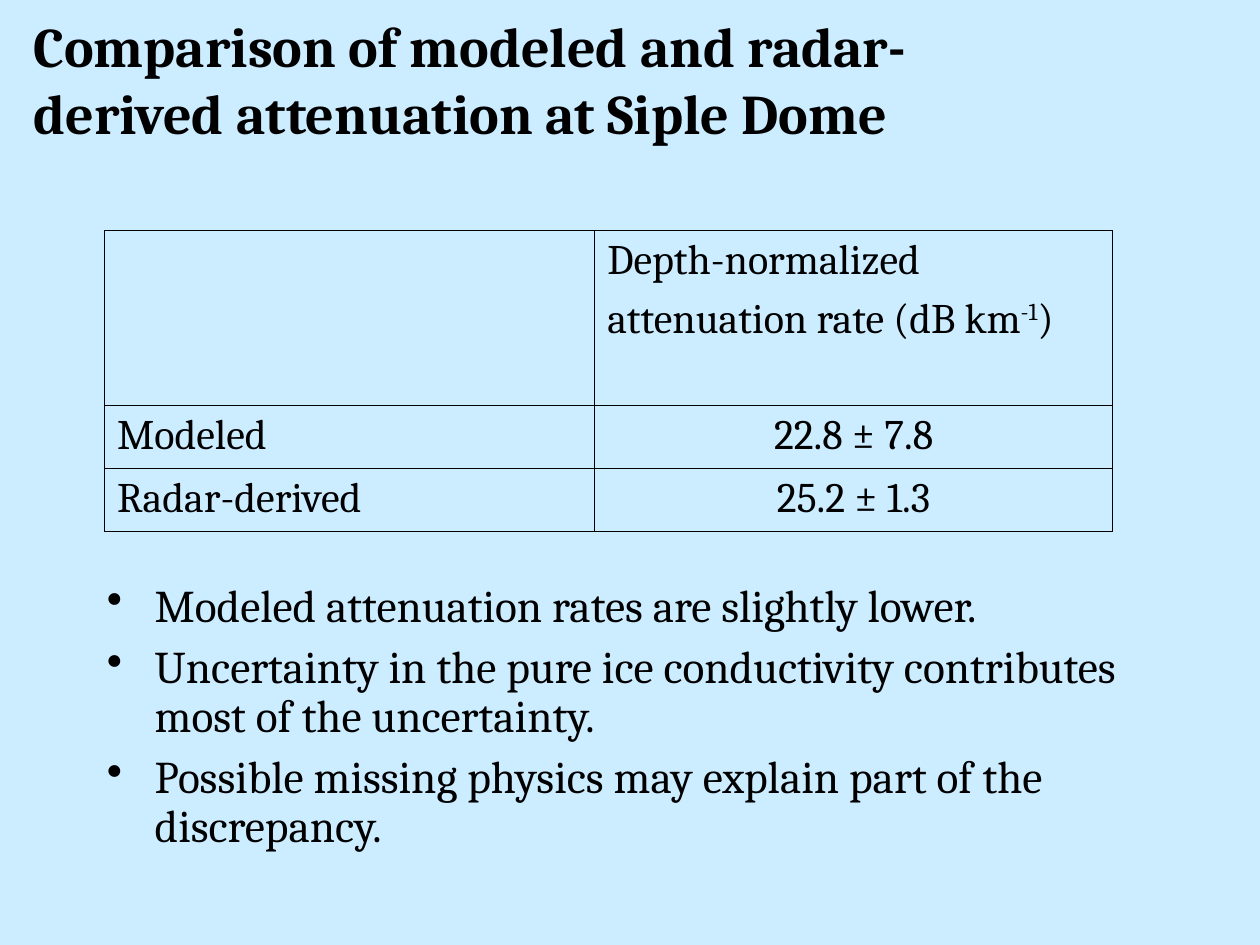
from lxml import etree
from pptx import Presentation
from pptx.dml.color import RGBColor
from pptx.enum import text as t
from pptx.oxml.ns import qn
from pptx.util import Inches, Pt

FONT, INK, SKY = "Cambria", "000000", "CCECFF"
TITLE = "Comparison of modeled and radar-derived attenuation at Siple Dome"
# Each cell is a list of paragraphs; each paragraph is a list of (text, raised)
HEAD = [[("Depth-normalized", False)],
        [("attenuation rate (dB km", False), ("-1", True), (")", False)]]
ROWS = [
    [[], HEAD],
    [[[("Modeled", False)]], [[("22.8 ± 7.8", False)]]],
    [[[("Radar-derived", False)]], [[("25.2 ± 1.3", False)]]],
]
WIDTHS = [3.89, 4.11]
HEIGHTS = [1.39, 0.5, 0.5]
POINTS = [
    "Modeled attenuation rates are slightly lower.",
    "Uncertainty in the pure ice conductivity contributes most of the uncertainty.",
    "Possible missing physics may explain part of the discrepancy.",
]


def color(code):
    return RGBColor.from_string(code)


def style(para, size, bold=False):
    font = para.font
    font.name, font.size, font.bold = FONT, Pt(size), bold
    font.color.rgb = color(INK)


def add_box(slide, left, top, width, height):
    frame = slide.shapes.add_textbox(*map(Inches, (left, top, width, height))).text_frame
    frame.word_wrap = True
    return frame


def next_para(frame, index, gap):
    """Return the paragraph at index, with space before all but the first."""
    if index == 0:
        return frame.paragraphs[0]
    para = frame.add_paragraph()
    para.space_before = Pt(gap)
    return para


def add_bullet(para):
    props = para._p.get_or_add_pPr()
    props.set("marL", str(Inches(0.38)))
    props.set("indent", str(-Inches(0.38)))
    etree.SubElement(props, qn("a:buChar")).set("char", "•")


def add_border(cell):
    props = cell._tc.get_or_add_tcPr()
    for side in ("lnL", "lnR", "lnT", "lnB"):
        line = etree.SubElement(props, qn("a:" + side), w=str(Pt(0.45)))
        fill = etree.SubElement(line, qn("a:solidFill"))
        etree.SubElement(fill, qn("a:srgbClr"), val=INK)


def fill_cell(cell, paras, centred):
    add_border(cell)
    cell.fill.background()
    style(cell.text_frame.paragraphs[0], 24)
    for i, runs in enumerate(paras):
        para = next_para(cell.text_frame, i, 6)
        style(para, 24)
        if centred:
            para.alignment = t.PP_ALIGN.CENTER
        for words, raised in runs:
            run = para.add_run()
            run.text = words
            if raised:
                run.font._element.set("baseline", "30000")


def main():
    prs = Presentation()
    prs.slide_width, prs.slide_height = Inches(10), Inches(7.5)
    slide = prs.slides.add_slide(prs.slide_layouts[6])
    back = slide.background.fill
    back.solid()
    back.fore_color.rgb = color(SKY)

    body = add_box(slide, 0.75, 4.58, 8.5, 2.92)
    for i, point in enumerate(POINTS):
        para = next_para(body, i, 7)
        para.text = point
        para.line_spacing = 0.9
        add_bullet(para)
        style(para, 25.9)

    table = slide.shapes.add_table(
        len(ROWS), len(WIDTHS), Inches(0.83), Inches(1.83),
        Inches(sum(WIDTHS)), Inches(sum(HEIGHTS))).table
    table.first_row = table.horz_banding = False
    for col, width in zip(table.columns, WIDTHS):
        col.width = Inches(width)
    for r, (cells, height) in enumerate(zip(ROWS, HEIGHTS)):
        table.rows[r].height = Inches(height)
        for c, paras in enumerate(cells):
            fill_cell(table.cell(r, c), paras, centred=r > 0 and c > 0)

    title = add_box(slide, 0.17, 0, 8.5, 1.25)
    title.vertical_anchor = t.MSO_ANCHOR.MIDDLE
    title.text = TITLE
    style(title.paragraphs[0], 32, bold=True)

    prs.save("out.pptx")


if __name__ == "__main__":
    main()
